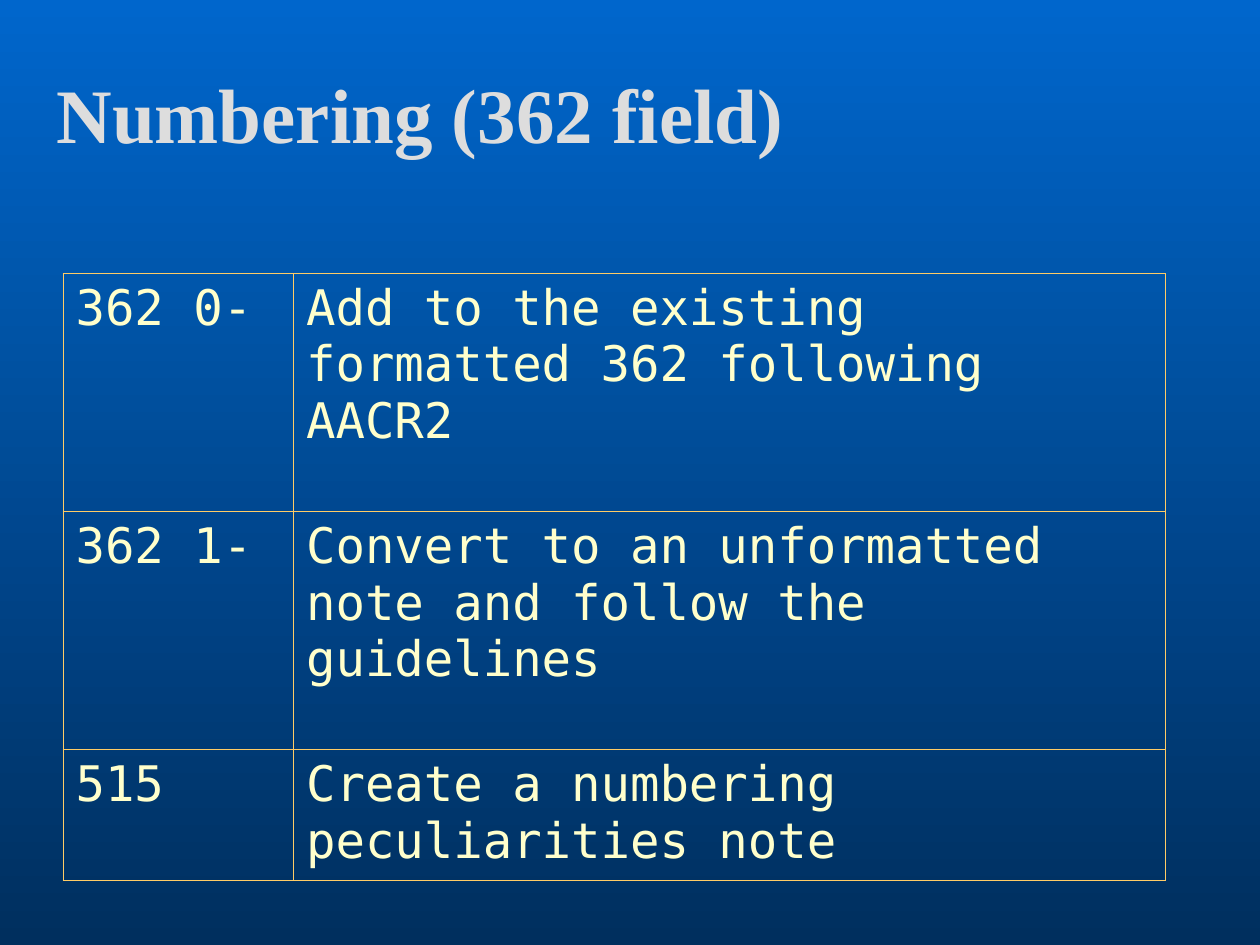
from lxml.etree import SubElement as Sub
from pptx import Presentation
from pptx.dml.color import RGBColor as RGB
from pptx.enum.text import MSO_ANCHOR as ANCHOR
from pptx.oxml.ns import qn
from pptx.util import Inches, Pt

TITLE = "Numbering (362 field)"
ROWS = [
    ("362 0-", "Add to the existing formatted 362 following AACR2"),
    ("362 1-", "Convert to an unformatted note and follow the guidelines"),
    ("515", "Create a numbering peculiarities note"),
]
COL_WIDTHS = [1.83, 6.92]
ROW_HEIGHTS = [1.89, 1.89, 1.03]

THEME = {
    "background": ("0066CC", "002F5E"),
    "border": ("FFCC66", 0.45),
    "title": {"name": "Times New Roman", "size": Pt(44), "bold": True,
              "color": "DDDDDD"},
    "cell": {"name": "DejaVu Sans Mono", "size": Pt(28), "bold": False,
             "color": "FFFFCC"},
}


def write(tf, text, style):
    tf.word_wrap = True
    r = tf.paragraphs[0].add_run()
    r.text = text
    for key, value in style.items():
        if key == "color":
            r.font.color.rgb = RGB.from_string(value)
        else:
            setattr(r.font, key, value)


def add_borders(cell):
    color, width = THEME["border"]
    props = cell._tc.get_or_add_tcPr()
    for i, side in enumerate(("lnL", "lnR", "lnT", "lnB")):
        line = props.makeelement(qn(f"a:{side}"), {"w": str(Pt(width))})
        fill = Sub(line, qn("a:solidFill"))
        Sub(fill, qn("a:srgbClr"), val=color)
        props.insert(i, line)


def build():
    prs = Presentation()
    prs.slide_width, prs.slide_height = Inches(10), Inches(7.5)
    s = prs.slides.add_slide(prs.slide_layouts[6])

    bg = s.background.fill
    bg.gradient()
    bg.gradient_angle = 270
    for stop, color in zip(bg.gradient_stops, THEME["background"]):
        stop.color.rgb = RGB.from_string(color)

    title = s.shapes.add_textbox(Inches(0.35), Inches(0.27), Inches(8.5), Inches(1.25))
    title.text_frame.vertical_anchor = ANCHOR.MIDDLE
    write(title.text_frame, TITLE, THEME["title"])

    table = s.shapes.add_table(
        len(ROWS), len(COL_WIDTHS), Inches(0.5), Inches(2.17),
        Inches(sum(COL_WIDTHS)), Inches(sum(ROW_HEIGHTS))).table
    table.first_row = table.horz_banding = False
    for col, width in zip(table.columns, COL_WIDTHS):
        col.width = Inches(width)
    for row, height, texts in zip(table.rows, ROW_HEIGHTS, ROWS):
        row.height = Inches(height)
        for cell, text in zip(row.cells, texts):
            cell.fill.background()
            add_borders(cell)
            write(cell.text_frame, text, THEME["cell"])

    prs.save("out.pptx")


if __name__ == "__main__":
    build()
